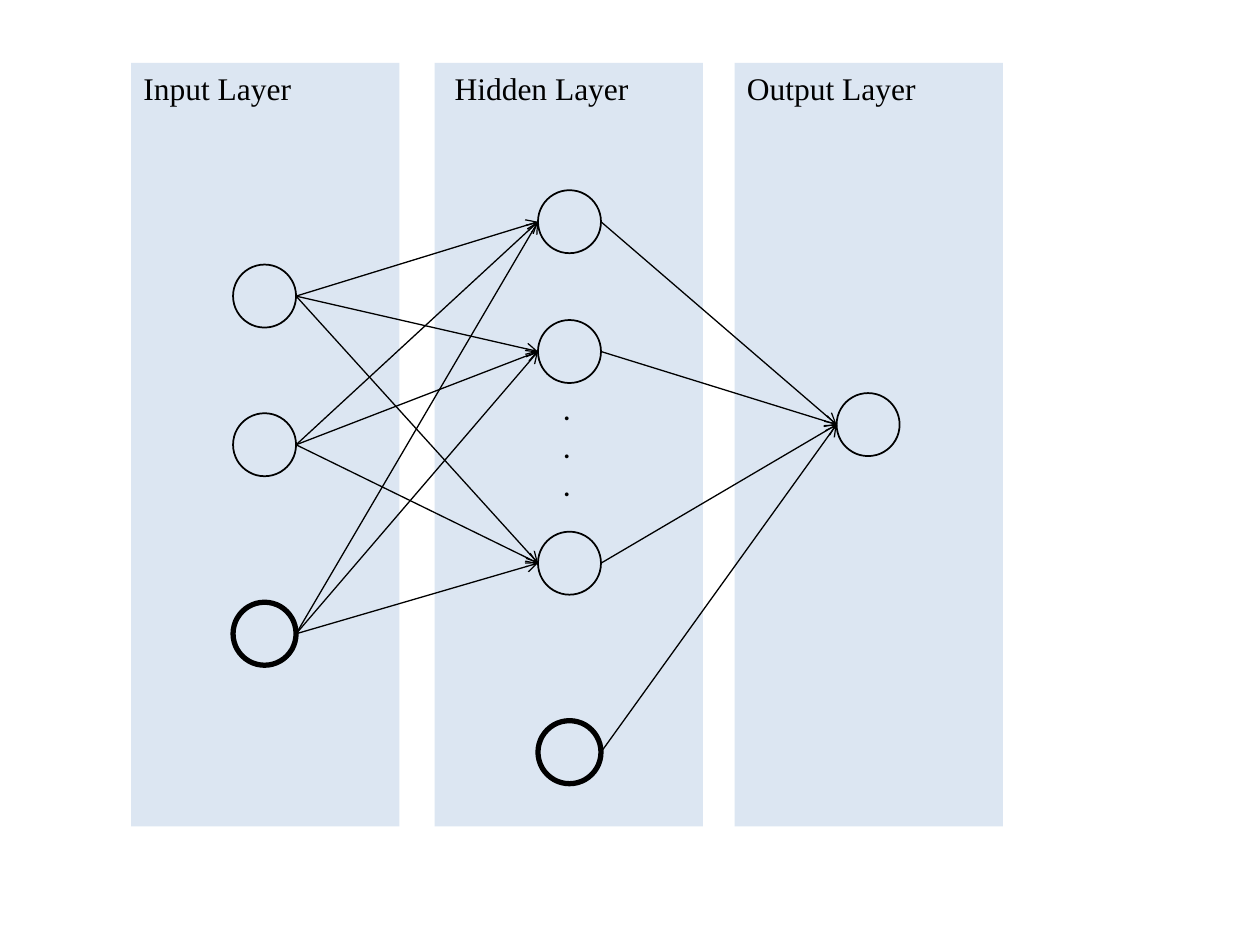
import itertools

import pptx
import pptx.dml.color
import pptx.enum.shapes
import pptx.enum.text
import pptx.oxml.ns
import pptx.util
from lxml import etree

COLUMNS, ROWS = 100, 75
PANEL_TOP, PANEL_WIDTH, PANEL_HEIGHT = 5, 21.3, 60.6
LABEL_WIDTH, LABEL_HEIGHT = 20.7, 4
NODE_SIZE = 5


def color(value):
    return pptx.dml.color.RGBColor.from_string(value)


def write(frame, text, font="Times New Roman", size=18, ink="000000"):
    for index, line in enumerate(text.split("\n")):
        paragraph = frame.add_paragraph() if index else frame.paragraphs[0]
        run = paragraph.add_run()
        run.text = line
        run.font.name = font
        run.font.size = pptx.util.Pt(size)
        run.font.color.rgb = color(ink)


class Diagram:
    panel_fill = "DCE6F2"
    ink = "000000"

    def __init__(self, presentation):
        self.slide = presentation.slides.add_slide(presentation.slide_layouts[6])
        self.column = presentation.slide_width / COLUMNS
        self.row = presentation.slide_height / ROWS

    def place(self, *lengths):
        units = itertools.cycle((self.column, self.row))
        return [round(length * unit) for length, unit in zip(lengths, units)]

    def panel(self, left):
        shape = self.slide.shapes.add_shape(
            pptx.enum.shapes.MSO_SHAPE.RECTANGLE,
            *self.place(left, PANEL_TOP, PANEL_WIDTH, PANEL_HEIGHT))
        shape.shadow.inherit = False
        shape.fill.solid()
        shape.fill.fore_color.rgb = color(self.panel_fill)
        shape.line.fill.background()

    def node(self, left, middle, weight):
        shape = self.slide.shapes.add_shape(
            pptx.enum.shapes.MSO_SHAPE.OVAL,
            *self.place(left, middle - NODE_SIZE / 2, NODE_SIZE, NODE_SIZE))
        shape.shadow.inherit = False
        shape.fill.background()
        shape.line.color.rgb = color(self.ink)
        shape.line.width = pptx.util.Pt(weight)

    def arrow(self, start, end):
        connector = self.slide.shapes.add_connector(
            pptx.enum.shapes.MSO_CONNECTOR.STRAIGHT, *self.place(*start, *end))
        connector.line.color.rgb = color(self.ink)
        connector.line.width = pptx.util.Pt(0.75)
        properties = connector.line._get_or_add_ln()
        etree.SubElement(properties, pptx.oxml.ns.qn("a:tailEnd"), type="arrow")
        etree.SubElement(connector._element.spPr, pptx.oxml.ns.qn("a:effectLst"))

    def label(self, text, left, top, width, height, **style):
        box = self.slide.shapes.add_textbox(*self.place(left, top, width, height))
        frame = box.text_frame
        frame.word_wrap = True
        frame.auto_size = pptx.enum.text.MSO_AUTO_SIZE.SHAPE_TO_FIT_TEXT
        write(frame, text, ink=self.ink, **style)


def main():
    presentation = pptx.Presentation()
    presentation.slide_width = pptx.util.Inches(10)
    presentation.slide_height = pptx.util.Inches(7.5)
    diagram = Diagram(presentation)

    layers = [
        {"title": "Input Layer", "panel": 10.4, "label": 10.4, "node": 18.5,
         "neurons": [23.5, 35.3], "bias": [50.3]},
        {"title": "Hidden Layer", "panel": 34.5, "label": 35.1, "node": 42.7,
         "neurons": [17.6, 27.9, 44.7], "bias": [59.7]},
        {"title": "Output Layer", "panel": 58.3, "label": 58.3, "node": 66.4,
         "neurons": [33.7], "bias": []},
    ]

    for layer in layers:
        diagram.panel(layer["panel"])
    for layer in layers:
        for group, weight in (("neurons", 1), ("bias", 3)):
            for middle in layer[group]:
                diagram.node(layer["node"], middle, weight)
    for source, target in itertools.pairwise(layers):
        senders = source["neurons"] + source["bias"]
        for start, end in itertools.product(senders, target["neurons"]):
            diagram.arrow((source["node"] + NODE_SIZE, start), (target["node"], end))

    diagram.label(".\n.\n.", 43.7, 30.4, 4, 10.1, font="Calibri")
    for layer in layers:
        diagram.label(layer["title"], layer["label"], PANEL_TOP, LABEL_WIDTH, LABEL_HEIGHT)

    presentation.save("out.pptx")


if __name__ == "__main__":
    main()
